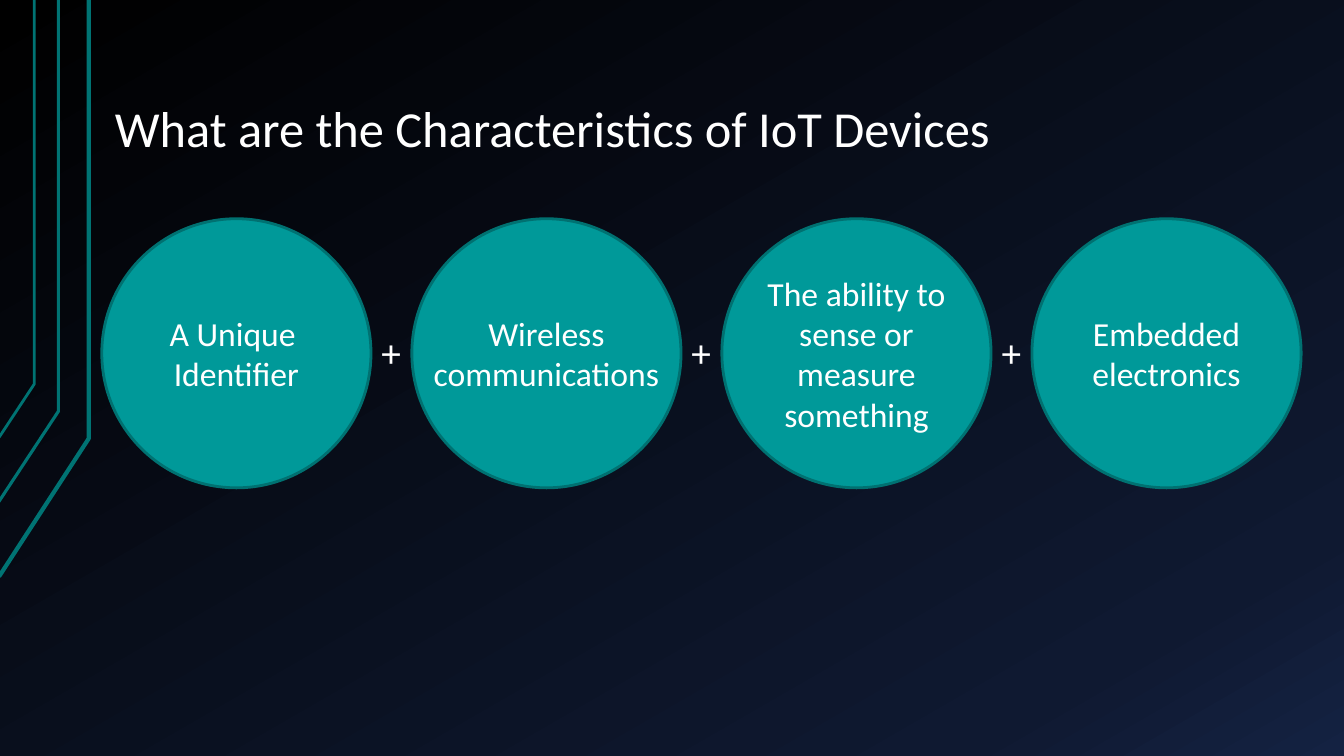
from copy import deepcopy
from dataclasses import dataclass

from pptx import Presentation
from pptx.dml.color import RGBColor
from pptx.enum.shapes import MSO_SHAPE
from pptx.enum.text import MSO_ANCHOR, MSO_AUTO_SIZE, PP_ALIGN
from pptx.shapes.autoshape import Shape
from pptx.slide import Slide
from pptx.text.text import TextFrame
from pptx.util import Inches, Pt

WHITE = RGBColor(0xFF, 0xFF, 0xFF)
TEAL = RGBColor(0x00, 0x99, 0x99)
TEAL_EDGE = RGBColor(0x00, 0x71, 0x71)
TRACE = RGBColor(0x00, 0x73, 0x73)
BLACK = RGBColor(0x00, 0x00, 0x00)
NAVY = RGBColor(0x0F, 0x19, 0x31)
BLUE = RGBColor(0x14, 0x22, 0x42)
FONT = "Calibri"

DIAMETER = 2.67
PITCH = 3.075
CIRCLE_LEFT = 1.01
CIRCLE_TOP = 2.17
PLUS_WIDTH = 0.4


@dataclass
class Trace:
    points: list[tuple[float, float]]
    width: float


@dataclass
class Characteristic:
    text: str
    left: float


TRACES = [
    Trace([(-0.01, 5.72), (0.88, 4.35), (0.88, 0)], 3),
    Trace([(-0.02, 4.99), (0.58, 4.08), (0.58, 0)], 2.25),
    Trace([(-0.01, 4.34), (0.34, 3.81), (0.34, 0)], 2),
]
LABELS = [
    "A Unique \nIdentifier",
    "Wireless\ncommunications",
    "The ability to\nsense or\nmeasure\nsomething",
    "Embedded\nelectronics",
]
CHARACTERISTICS = [
    Characteristic(label, CIRCLE_LEFT + i * PITCH) for i, label in enumerate(LABELS)
]


def set_text(tf: TextFrame, text: str, size: float, align: PP_ALIGN) -> None:
    tf.text = text
    for p in tf.paragraphs:
        p.alignment = align
        for r in p.runs:
            r.font.size = Pt(size)
            r.font.name = FONT
            r.font.color.rgb = WHITE


def set_line(sp: Shape, color: RGBColor, width: float) -> None:
    sp.shadow.inherit = False
    sp.line.color.rgb = color
    sp.line.width = Pt(width)


def paint_background(slide: Slide) -> None:
    fill = slide.background.fill
    fill.gradient()
    fill.gradient_angle = 300
    stop_list = slide.element.xpath(".//a:gsLst")[0]
    stop_list.append(deepcopy(stop_list[0]))
    stops = [(0, BLACK), (0.85, NAVY), (1, BLUE)]
    for stop, (position, color) in zip(fill.gradient_stops, stops):
        stop.position = position
        stop.color.rgb = color


def draw_trace(slide: Slide, trace: Trace) -> None:
    start, *rest = [(Inches(x), Inches(y)) for x, y in trace.points]
    builder = slide.shapes.build_freeform(*start)
    builder.add_line_segments(rest, close=False)
    sp = builder.convert_to_shape()
    sp.fill.background()
    set_line(sp, TRACE, trace.width)


def place_title(slide: Slide, text: str) -> None:
    title = slide.shapes.title
    title.left, title.top = Inches(1.01), Inches(0.3)
    title.width, title.height = Inches(11.33), Inches(1.34)
    tf = title.text_frame
    set_text(tf, text, 36, PP_ALIGN.LEFT)
    tf.paragraphs[0].line_spacing = 0.9
    tf.auto_size = MSO_AUTO_SIZE.NONE
    tf.vertical_anchor = MSO_ANCHOR.BOTTOM
    tf.margin_left = tf.margin_right = Inches(0.13)
    tf.margin_top = tf.margin_bottom = Inches(0.07)


def draw_circle(slide: Slide, item: Characteristic) -> None:
    sp = slide.shapes.add_shape(
        MSO_SHAPE.OVAL, Inches(item.left), Inches(CIRCLE_TOP),
        Inches(DIAMETER), Inches(DIAMETER),
    )
    sp.fill.solid()
    sp.fill.fore_color.rgb = TEAL
    set_line(sp, TEAL_EDGE, 2)
    tf = sp.text_frame
    tf.word_wrap = False
    tf.vertical_anchor = MSO_ANCHOR.MIDDLE
    tf.margin_left = tf.margin_right = tf.margin_top = tf.margin_bottom = 0
    set_text(tf, item.text, 24, PP_ALIGN.CENTER)


def draw_plus(slide: Slide, circle_left: float) -> None:
    box = slide.shapes.add_textbox(
        Inches(circle_left - PLUS_WIDTH), Inches(3.21), Inches(PLUS_WIDTH), Inches(0.57)
    )
    box.text_frame.word_wrap = False
    set_text(box.text_frame, "+", 28, PP_ALIGN.LEFT)


def main() -> None:
    prs = Presentation()
    prs.slide_width, prs.slide_height = Inches(13.33), Inches(7.5)
    slide = prs.slides.add_slide(prs.slide_layouts[5])
    paint_background(slide)
    for trace in TRACES:
        draw_trace(slide, trace)
    place_title(slide, "What are the Characteristics of IoT Devices")
    for item in CHARACTERISTICS:
        draw_circle(slide, item)
    for item in CHARACTERISTICS[1:]:
        draw_plus(slide, item.left)
    prs.save("out.pptx")


if __name__ == "__main__":
    main()
